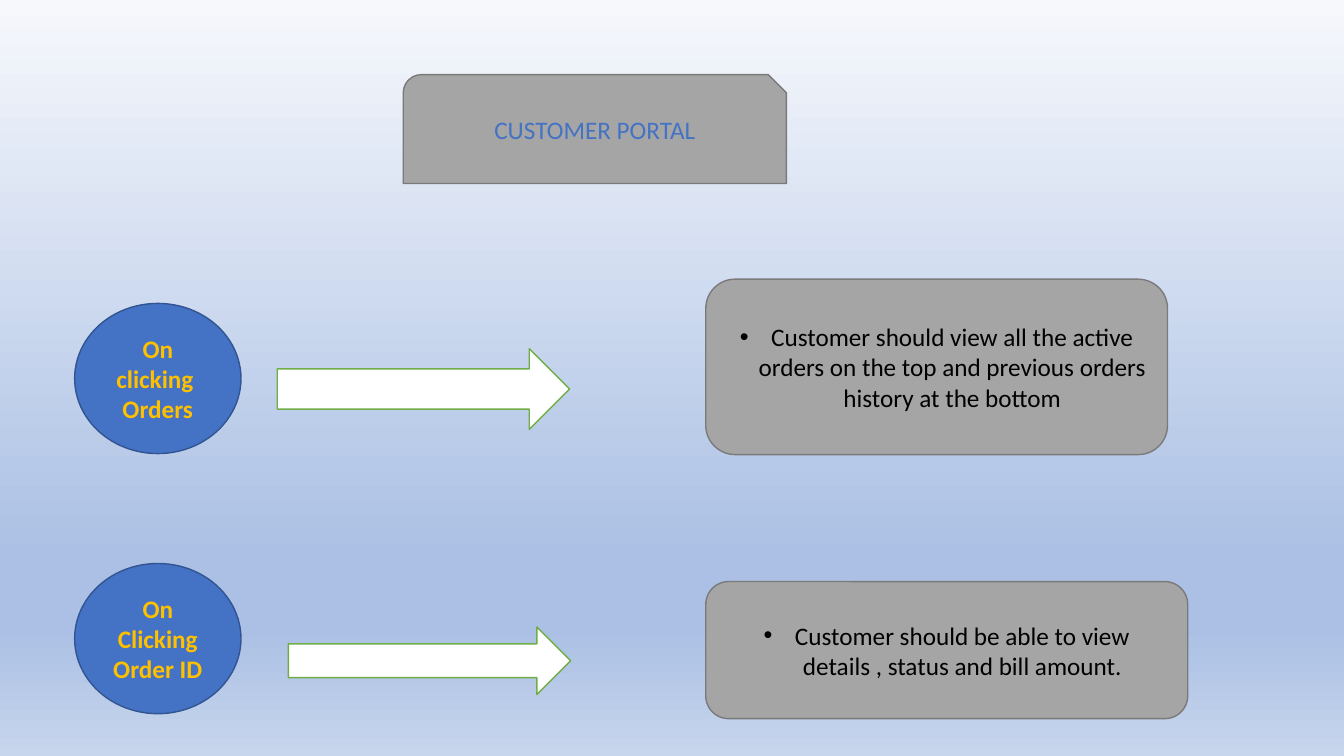
from copy import deepcopy
from dataclasses import dataclass

from lxml import etree
from pptx import Presentation
from pptx import util as u
from pptx.dml.color import RGBColor
from pptx.enum import shapes, text
from pptx.oxml.ns import qn

KIND = shapes.MSO_SHAPE


@dataclass(frozen=True)
class Theme:
    """Colours, font and sizes of the slide."""
    gray: str = "A5A5A5"
    edge: str = "7A7A7A"
    blue: str = "4472C4"
    navy: str = "325491"
    gold: str = "FFC000"
    green: str = "70AD47"
    white: str = "FFFFFF"
    black: str = "000000"
    sky: tuple = ((0, "F6F8FC"), (0.74, "ABC0E4"), (0.83, "ABC0E4"), (1, "C7D5ED"))
    font: str = "Calibri"
    size: int = 18
    line: float = 1


def rgb(code):
    """Turn a hex code into a colour."""
    return RGBColor.from_string(code)


def set_text(shape, words, *, font, size, color, bold=False, bullet=False):
    """Fill a shape with centred paragraphs, one per line of words."""
    frame = shape.text_frame
    frame.text = words
    frame.word_wrap = True
    frame.auto_size = text.MSO_AUTO_SIZE.NONE
    frame.vertical_anchor = text.MSO_ANCHOR.MIDDLE
    for para in frame.paragraphs:
        para.alignment = text.PP_ALIGN.CENTER
        para.line_spacing = 1.0
        style = para.runs[0].font
        style.name, style.size, style.bold = font, u.Pt(size), bold
        style.color.rgb = rgb(color)
        if bullet:
            props = para._p.get_or_add_pPr()
            props.set("marL", str(u.Inches(0.31)))
            props.set("indent", str(u.Inches(-0.31)))
            etree.SubElement(props, qn("a:buFont")).set("typeface", "Arial")
            etree.SubElement(props, qn("a:buChar")).set("char", "•")


class Deck:
    """Holds the theme and the current slide."""

    def __init__(self, theme):
        """Start a wide deck with one title-only slide."""
        self.theme = theme
        self.file = Presentation()
        self.file.slide_width = u.Inches(13.33)
        self.file.slide_height = u.Inches(7.5)
        self.slide = self.file.slides.add_slide(self.file.slide_layouts[5])

    def sky(self):
        """Paint the background gradient from top to bottom."""
        fill = self.slide.background.fill
        fill.gradient()
        fill.gradient_angle = 270
        stops = self.slide.element.find(".//" + qn("a:gsLst"))
        while len(stops) < len(self.theme.sky):
            stops.append(deepcopy(stops[0]))
        for stop, (place, code) in zip(fill.gradient_stops, self.theme.sky):
            stop.position = place
            stop.color.rgb = rgb(code)

    def shape(self, kind, box, fill, line):
        """Add a flat preset shape."""
        item = self.slide.shapes.add_shape(kind, *map(u.Inches, box))
        item.shadow.inherit = False
        item.fill.solid()
        item.fill.fore_color.rgb = rgb(fill)
        item.line.color.rgb = rgb(line)
        item.line.width = u.Pt(self.theme.line)
        return item

    def label(self, item, words, color, **form):
        """Put words in the theme's type on a shape."""
        set_text(item, words, font=self.theme.font, size=self.theme.size,
                 color=color, **form)

    def title(self, words, box):
        """Set the title on a gray plate."""
        self.shape(KIND.SNIP_ROUND_RECTANGLE, box, self.theme.gray, self.theme.edge)
        head = self.slide.shapes.title
        head.left, head.top, head.width, head.height = map(u.Inches, box)
        self.slide.shapes._spTree.append(head._element)
        self.label(head, words, self.theme.blue)

    def event(self, words, top):
        """Add a blue circle that names a click."""
        item = self.shape(KIND.OVAL, (0.74, top, 1.65, 1.49),
                          self.theme.blue, self.theme.navy)
        self.label(item, words, self.theme.gold, bold=True)

    def arrow(self, box):
        """Add a white block arrow."""
        self.shape(KIND.RIGHT_ARROW, box, self.theme.white, self.theme.green)

    def result(self, words, box):
        """Add a gray card with one bullet."""
        item = self.shape(KIND.ROUNDED_RECTANGLE, box,
                          self.theme.gray, self.theme.edge)
        self.label(item, words, self.theme.black, bullet=True)


def main():
    """Build and save the slide."""
    deck = Deck(Theme())
    deck.sky()
    deck.title("CUSTOMER PORTAL", (4, 0.74, 3.8, 1.08))
    flows = (
        ("On clicking \nOrders", 3.01, (2.75, 3.46, 2.9, 0.8),
         "Customer should view all the active orders on the top and "
         "previous orders history at the bottom", (7, 2.77, 4.58, 1.74)),
        ("On Clicking\nOrder ID", 5.59, (2.86, 6.22, 2.8, 0.67),
         "Customer should be able to view details , status and bill amount.",
         (7, 5.77, 4.78, 1.36)),
    )
    for click, top, arrow, note, card in flows:
        deck.event(click, top)
        deck.arrow(arrow)
        deck.result(note, card)
    deck.file.save("out.pptx")


if __name__ == "__main__":
    main()
